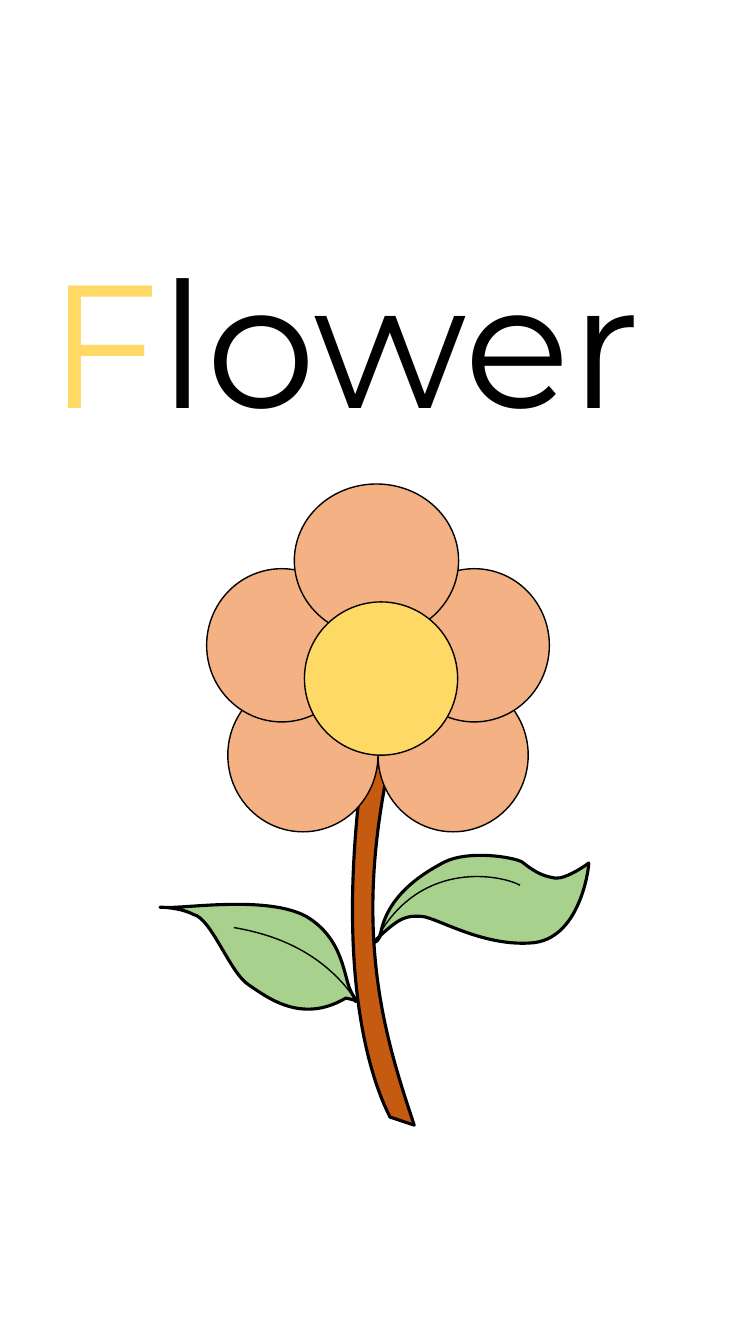
from lxml.etree import SubElement
from pptx import Presentation
from pptx.dml.color import RGBColor
from pptx.enum.shapes import MSO_SHAPE
from pptx.enum.text import MSO_ANCHOR, MSO_AUTO_SIZE, PP_ALIGN
from pptx.oxml.ns import qn
from pptx.util import Inches, Pt

BLACK = RGBColor(0x00, 0x00, 0x00)
YELLOW = RGBColor(0xFF, 0xD9, 0x66)
PEACH = RGBColor(0xF4, 0xB1, 0x83)
GREEN = RGBColor(0xA9, 0xD1, 0x8E)
BROWN = RGBColor(0xC5, 0x5A, 0x11)

THIN, THICK = 1, 2.25
CURVE_STEPS = 16
PETAL_W, PETAL_H = 1.49, 1.52

# An outline is a start point, then segments: one point for a straight line,
# two control points and an end point for a Bezier curve.
LEFT_LEAF = [
    (1.65, 9),
    [(1.84, 9.01), (2.66, 8.88), (3.04, 9.09)],
    [(3.41, 9.31), (3.41, 9.69), (3.48, 9.83)],
    [(3.55, 9.97), (3.54, 9.87), (3.52, 9.91)],
    [(3.5, 9.95), (3.6, 9.93), (3.43, 9.9)],
    [(2.99, 10.16), (2.65, 9.89), (2.47, 9.77)],
    [(2.28, 9.65), (2.1, 9.11), (1.92, 9.07)],
    [(1.75, 8.98), (1.46, 9), (1.65, 9)],
]
RIGHT_LEAF = [
    (5.84, 8.56),
    [(5.85, 8.54), (5.78, 9.29), (5.3, 9.35)],
    [(4.81, 9.4), (4.35, 9.11), (4.19, 9.09)],
    [(4.03, 9.08), (3.97, 9.09), (3.72, 9.33)],
    [(3.69, 9.3), (3.7, 9.41), (3.77, 9.29)],
    [(3.83, 8.89), (4.18, 8.67), (4.41, 8.55)],
    [(4.65, 8.43), (5.09, 8.5), (5.18, 8.55)],
    [(5.33, 8.67), (5.4, 8.69), (5.51, 8.71)],
    [(5.62, 8.72), (5.83, 8.57), (5.84, 8.56)],
]
RIGHT_VEIN = [(3.76, 9.27), [(4.2, 8.52), (4.98, 8.68), (5.16, 8.78)]]
LEFT_VEIN = [(2.32, 9.2), [(2.67, 9.26), (3.25, 9.42), (3.6, 10.03)]]
STEM = [
    (3.67, 7.14),
    [(3.97, 7.13)],
    [(3.44, 9.11), (3.8, 10.23), (4.11, 11.16)],
    [(3.87, 11.08)],
    [(3.64, 10.63), (3.28, 9.45), (3.67, 7.14)],
]


def bezier_points(p0, p1, p2, p3):
    """Return points along a cubic curve, without its start."""
    points = []
    for i in range(1, CURVE_STEPS + 1):
        t = i / CURVE_STEPS
        u = 1 - t
        points.append(tuple(
            u**3 * a + 3 * u * u * t * b + 3 * u * t * t * c + t**3 * d
            for a, b, c, d in zip(p0, p1, p2, p3)))
    return points


def style_shape(sp, fill, width):
    sp.shadow.inherit = False
    if fill is None:
        sp.fill.background()
    else:
        sp.fill.solid()
        sp.fill.fore_color.rgb = fill
    sp.line.color.rgb = BLACK
    sp.line.width = Pt(width)


def write_curves(sp, segments):
    """Replace the line segments of a freeform by true curves."""
    geometry = next(sp._element.iter(qn("a:path")))
    for child in list(geometry)[1:]:
        if child.tag == qn("a:lnTo"):
            geometry.remove(child)
    closing = geometry.find(qn("a:close"))
    for segment in segments:
        tag = "a:cubicBezTo" if len(segment) == 3 else "a:lnTo"
        command = SubElement(geometry, qn(tag))
        for x, y in segment:
            SubElement(command, qn("a:pt"), x=str(Inches(x) - sp.left),
                       y=str(Inches(y) - sp.top))
    if closing is not None:
        geometry.append(closing)


def add_outline(shapes, outline, width, fill=None):
    """Draw an outline, closed if it has a fill."""
    start, *segments = outline
    # Points on the curves give the freeform its exact frame.
    points, end = [], start
    for segment in segments:
        points += bezier_points(end, *segment) if len(segment) == 3 else segment
        end = segment[-1]
    builder = shapes.build_freeform(Inches(start[0]), Inches(start[1]))
    builder.add_line_segments([(Inches(x), Inches(y)) for x, y in points],
                              close=fill is not None)
    sp = builder.convert_to_shape()
    write_curves(sp, segments)
    style_shape(sp, fill, width)


def add_disc(shapes, left, top, width, height, fill):
    sp = shapes.add_shape(MSO_SHAPE.OVAL, Inches(left), Inches(top),
                          Inches(width), Inches(height))
    style_shape(sp, fill, THIN)


def set_title(title):
    title.left, title.top = Inches(0.38), Inches(2.27)
    title.width, title.height = Inches(7.44), Inches(2.2)
    tf = title.text_frame
    tf.word_wrap = True
    tf.auto_size = MSO_AUTO_SIZE.SHAPE_TO_FIT_TEXT
    tf.vertical_anchor = MSO_ANCHOR.TOP
    p = tf.paragraphs[0]
    p.alignment = PP_ALIGN.LEFT
    p.font.name = "Montserrat"
    p.font.size = Pt(125)
    for text, color in (("F", YELLOW), ("lower", BLACK)):
        r = p.add_run()
        r.text = text
        r.font.color.rgb = color


def add_flower(shapes):
    add_outline(shapes, LEFT_LEAF, THICK, GREEN)
    add_outline(shapes, RIGHT_LEAF, THICK, GREEN)
    add_outline(shapes, RIGHT_VEIN, THIN)
    add_outline(shapes, LEFT_VEIN, THIN)
    add_outline(shapes, STEM, THICK, BROWN)
    for left, top in ((3.75, 6.73), (2.26, 6.73), (2.05, 5.64), (3.96, 5.64)):
        add_disc(shapes, left, top, PETAL_W, PETAL_H, PEACH)
    add_disc(shapes, 2.92, 4.8, 1.63, PETAL_H, PEACH)
    add_disc(shapes, 3.02, 5.97, 1.52, 1.52, YELLOW)


def main():
    prs = Presentation()
    prs.slide_width, prs.slide_height = Inches(7.5), Inches(13.33)
    s = prs.slides.add_slide(prs.slide_layouts[5])
    set_title(s.shapes.title)
    add_flower(s.shapes.add_group_shape().shapes)
    prs.save("out.pptx")


if __name__ == "__main__":
    main()
